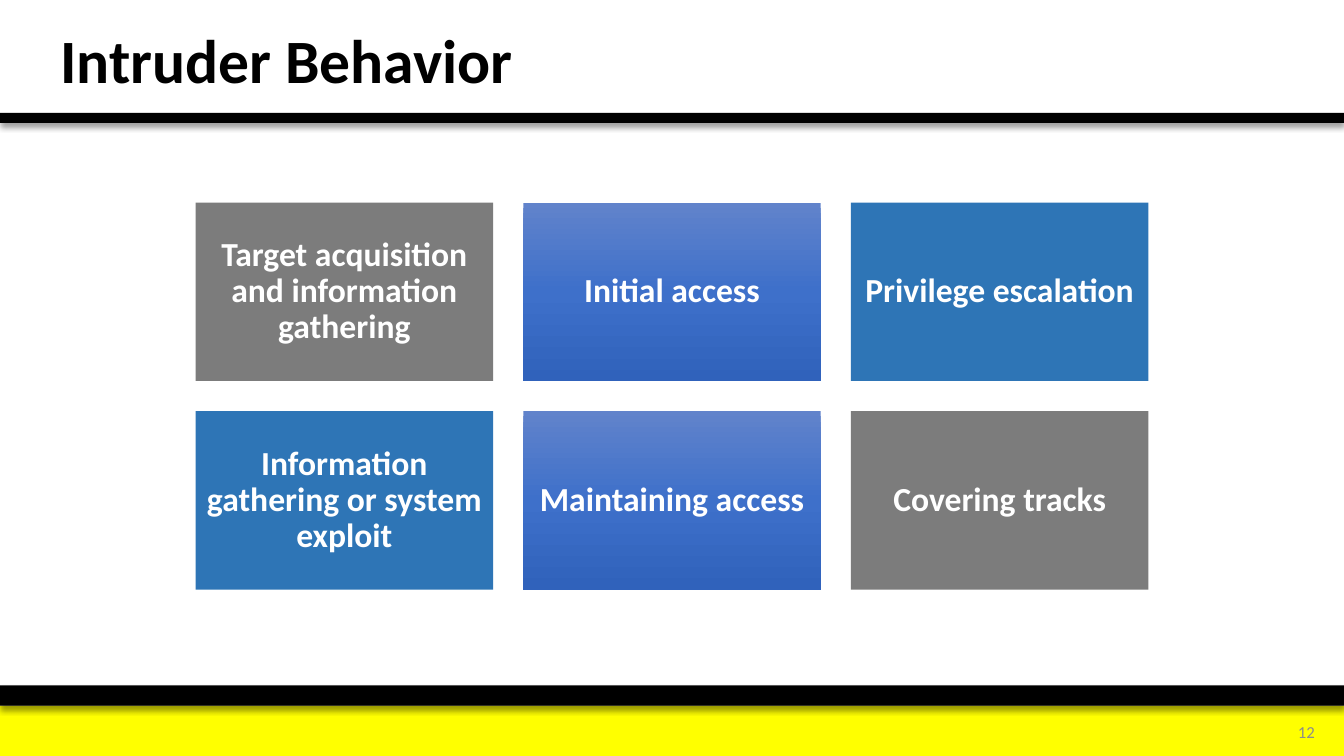
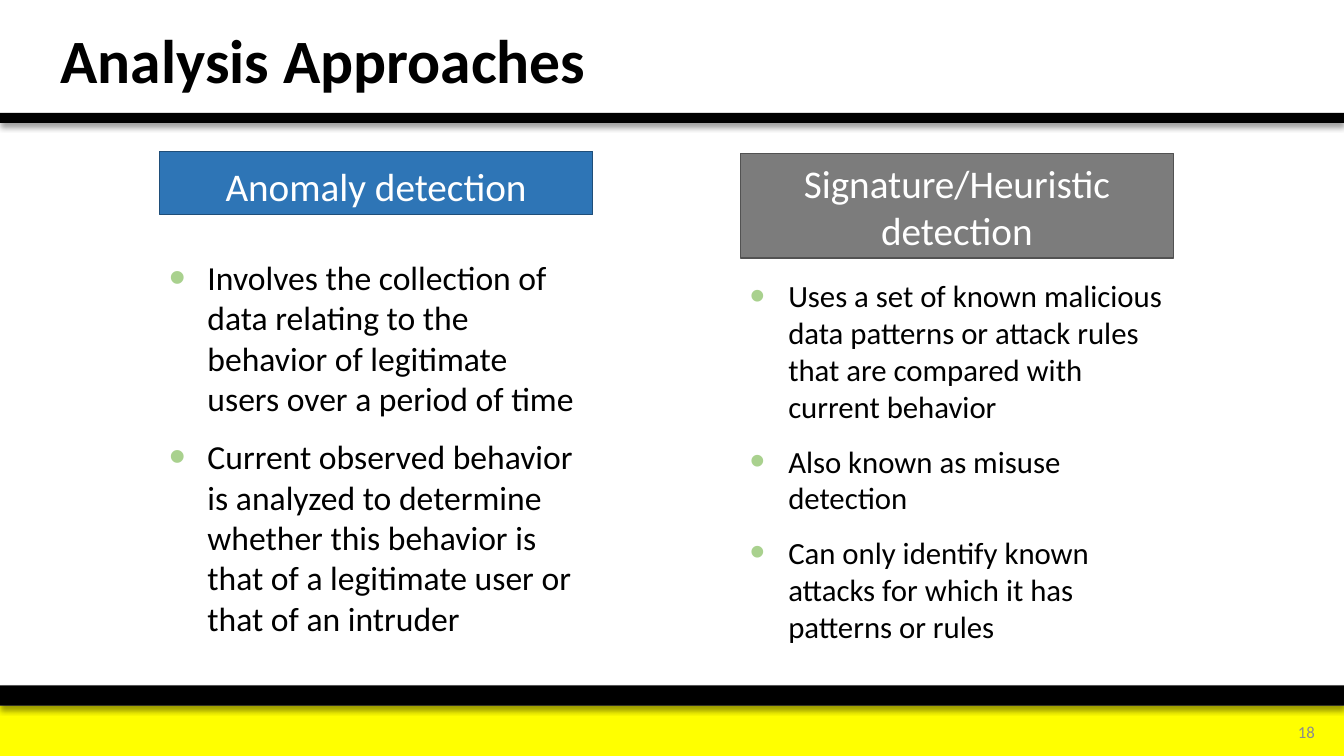
from copy import deepcopy

from lxml import etree
from pptx import Presentation
from pptx.dml.color import RGBColor
from pptx.enum import shapes, text
from pptx.oxml.ns import qn
from pptx.util import Inches, Pt

# Shared style
FONT = "Calibri"
COLORS = {
    "black": "000000", "white": "FFFFFF", "yellow": "FFFF00",
    "number": "8C8C8C", "bullet": "A9D18E",
    "gray": "7C7C7C", "gray_edge": "525252",
    "blue": "2E75B6", "blue_edge": "1F4E79",
}
GRADIENT = [(0, "6183CB"), (0.5, "3E70CA"), (1, "3062BB")]
SLIDE_W, SLIDE_H = 13.33, 7.5
# top, height, color, has shadow
BANDS = [(7, 0.5, "yellow", False), (6.8, 0.2, "black", True),
         (1.12, 0.1, "black", True)]

# Content: label and fill of each card, row by row
BEHAVIOR = {
    "title": "Intruder Behavior", "number": 12,
    "cards": [
        ("Target acquisition and information gathering", "gray"),
        ("Initial access", "gradient"),
        ("Privilege escalation", "blue"),
        ("Information gathering or system exploit", "blue"),
        ("Maintaining access", "gradient"),
        ("Covering tracks", "gray"),
    ],
}
ANALYSIS = {
    "title": "Analysis Approaches", "number": 18,
    "columns": [
        {"heading": "Anomaly detection", "color": "blue",
         "left": 1.58, "head": (1.5, 0.63), "body": (2.5, 4.19), "size": 24,
         "points": [
             "Involves the collection of data relating to the behavior of "
             "legitimate users over a period of time",
             "Current observed behavior is analyzed to determine whether this "
             "behavior is that of a legitimate user or that of an intruder"]},
        {"heading": "Signature/Heuristic detection", "color": "gray",
         "left": 7.34, "head": (1.52, 1.04), "body": (2.7, 3.77), "size": 22,
         "points": [
             "Uses a set of known malicious data patterns or attack rules "
             "that are compared with current behavior",
             "Also known as misuse detection",
             "Can only identify known attacks for which it has patterns "
             "or rules"]},
    ],
}
CARD_W, CARD_H, CARD_GAP, CARD_COLS, CARD_TOP = 2.95, 1.77, 0.3, 3, 2.01
COLUMN_W = 4.3


def rgb(name):
    return RGBColor.from_string(COLORS[name])


def add_text(p, words, size, color, bold=False, align=None):
    r = p.add_run()
    r.text = words
    r.font.name, r.font.size, r.font.bold = FONT, Pt(size), bold
    r.font.color.rgb = rgb(color)
    p.alignment = align


def add_rect(s, left, top, width, height, color=None, edge=None):
    sp = s.shapes.add_shape(shapes.MSO_SHAPE.RECTANGLE, Inches(left),
                            Inches(top), Inches(width), Inches(height))
    sp.shadow.inherit = False
    if color:
        sp.fill.solid()
        sp.fill.fore_color.rgb = rgb(color)
    if edge:
        sp.line.color.rgb = rgb(edge)
        sp.line.width = Pt(0.75)
    else:
        sp.line.fill.background()
    sp.text_frame.word_wrap = True
    return sp


def add_textbox(s, left, top, width, height):
    tf = s.shapes.add_textbox(Inches(left), Inches(top), Inches(width),
                              Inches(height)).text_frame
    tf.word_wrap = True
    return tf


def add_shadow(sp):
    effects = sp._element.spPr.find(qn("a:effectLst"))
    shadow = etree.SubElement(effects, qn("a:outerShdw"), blurRad=str(Pt(4)),
                              dist=str(Pt(3)), dir="5400000", rotWithShape="0")
    color = etree.SubElement(shadow, qn("a:srgbClr"), val=COLORS["black"])
    etree.SubElement(color, qn("a:alpha"), val="40000")


def fill_gradient(sp):
    sp.fill.gradient()
    sp.fill.gradient_angle = 270
    stop_list = sp._element.spPr.find(qn("a:gradFill")).find(qn("a:gsLst"))
    stop_list.insert(1, deepcopy(stop_list[0]))
    for stop, (position, color) in zip(sp.fill.gradient_stops, GRADIENT):
        stop.position = position
        stop.color.rgb = RGBColor.from_string(color)


def add_bullet(p):
    pPr = p._p.get_or_add_pPr()
    pPr.set("marL", str(Inches(0.38)))
    pPr.set("indent", str(Inches(-0.38)))
    color = etree.SubElement(pPr, qn("a:buClr"))
    etree.SubElement(color, qn("a:srgbClr"), val=COLORS["bullet"])
    etree.SubElement(pPr, qn("a:buSzPct"), val="140000")
    etree.SubElement(pPr, qn("a:buFont"), typeface="Arial")
    etree.SubElement(pPr, qn("a:buChar"), char="•")


def new_slide(prs, content):
    """Title-only slide with the bands, title and page number."""
    s = prs.slides.add_slide(prs.slide_layouts[5])
    for top, height, color, has_shadow in BANDS:
        band = add_rect(s, 0, top, SLIDE_W, height, color)
        if has_shadow:
            add_shadow(band)

    title = s.shapes.title
    title.left, title.top = Inches(0.5), Inches(0.07)
    title.width, title.height = Inches(9.66), Inches(1.12)
    tf = title.text_frame
    tf.auto_size = text.MSO_AUTO_SIZE.NONE
    tf.vertical_anchor = text.MSO_ANCHOR.MIDDLE
    p = tf.paragraphs[0]
    p.line_spacing = 0.9
    add_text(p, content["title"], 44, "black", True, text.PP_ALIGN.LEFT)

    tf = add_textbox(s, 12.38, 7.06, 0.76, 0.4)
    tf.vertical_anchor = text.MSO_ANCHOR.MIDDLE
    add_text(tf.paragraphs[0], str(content["number"]), 12, "number",
             align=text.PP_ALIGN.RIGHT)
    return s


def build_behavior(prs):
    s = new_slide(prs, BEHAVIOR)
    grid_w = CARD_COLS * CARD_W + (CARD_COLS - 1) * CARD_GAP
    grid_left = (SLIDE_W - grid_w) / 2
    for i, (label, color) in enumerate(BEHAVIOR["cards"]):
        row, col = divmod(i, CARD_COLS)
        left = grid_left + col * (CARD_W + CARD_GAP)
        top = CARD_TOP + row * (CARD_H + CARD_GAP)
        if color == "gradient":
            card = add_rect(s, left, top, CARD_W, CARD_H)
            fill_gradient(card)
        else:
            card = add_rect(s, left, top, CARD_W, CARD_H, color)
        tf = card.text_frame
        tf.margin_left = tf.margin_right = Inches(0.1)
        tf.margin_top = tf.margin_bottom = Inches(0.1)
        tf.vertical_anchor = text.MSO_ANCHOR.MIDDLE
        p = tf.paragraphs[0]
        p.line_spacing = 0.9
        add_text(p, label, 24, "white", True, text.PP_ALIGN.CENTER)


def build_analysis(prs):
    s = new_slide(prs, ANALYSIS)
    for column in ANALYSIS["columns"]:
        left, color, size = column["left"], column["color"], column["size"]
        top, height = column["head"]
        head = add_rect(s, left, top, COLUMN_W, height, color, color + "_edge")
        tf = head.text_frame
        tf.vertical_anchor = text.MSO_ANCHOR.BOTTOM
        add_text(tf.paragraphs[0], column["heading"], 28, "white",
                 align=text.PP_ALIGN.CENTER)

        top, height = column["body"]
        tf = add_textbox(s, left, top, COLUMN_W, height)
        for i, point in enumerate(column["points"]):
            p = tf.add_paragraph() if i else tf.paragraphs[0]
            add_bullet(p)
            if i:
                p.space_before = Pt(round(size * 0.2, 1))
            p.space_after = Pt(8)
            add_text(p, point, size, "black")


def main():
    prs = Presentation()
    prs.slide_width, prs.slide_height = Inches(SLIDE_W), Inches(SLIDE_H)
    build_behavior(prs)
    build_analysis(prs)
    prs.save("out.pptx")


if __name__ == "__main__":
    main()
